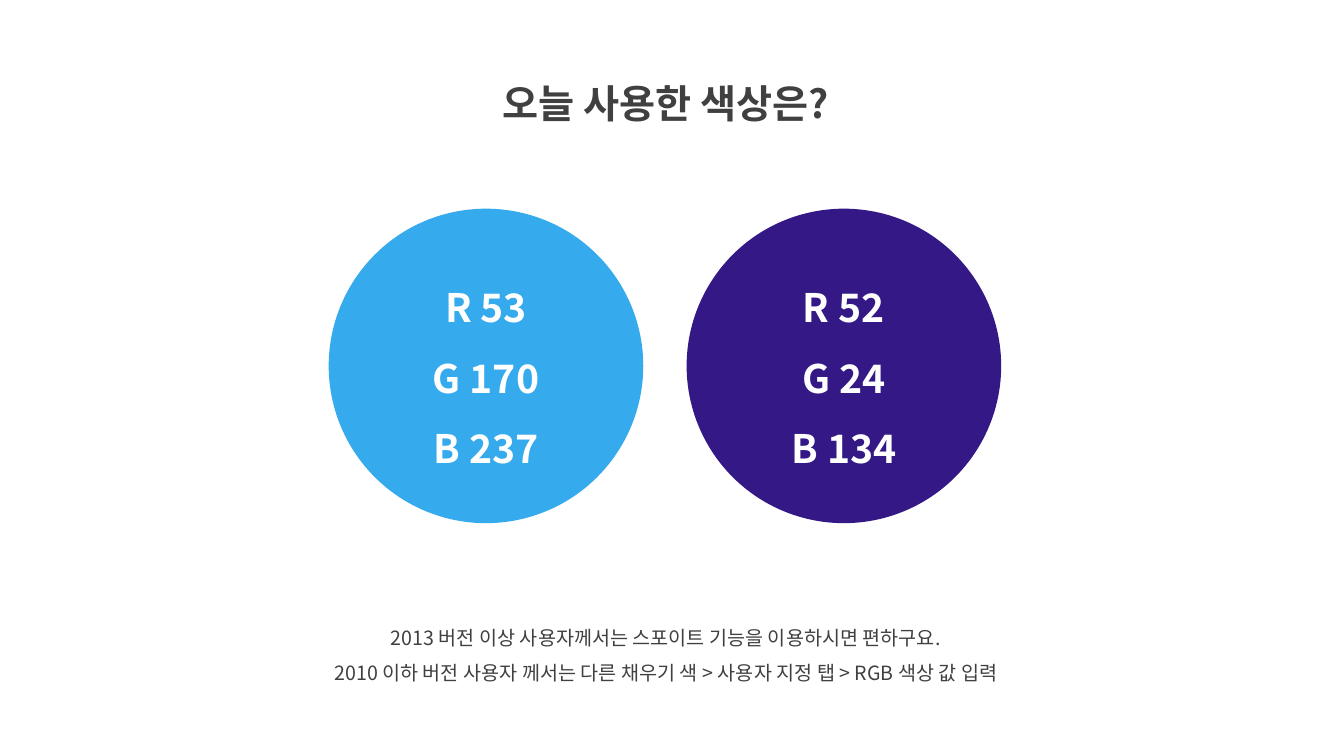
from dataclasses import dataclass

from lxml import etree
from pptx import Presentation
from pptx.dml.color import RGBColor
from pptx.enum.shapes import MSO_SHAPE
from pptx.enum.text import MSO_ANCHOR, MSO_AUTO_SIZE, PP_ALIGN
from pptx.oxml.ns import qn
from pptx.slide import Slide
from pptx.text.text import TextFrame
from pptx.util import Inches, Pt

ELLIPSE = MSO_SHAPE.OVAL
CENTER = PP_ALIGN.CENTER
MIDDLE = MSO_ANCHOR.MIDDLE
FIT_TEXT = MSO_AUTO_SIZE.SHAPE_TO_FIT_TEXT

FONT = "Noto Sans CJK KR"
GRAY = RGBColor(0x40, 0x40, 0x40)
WHITE = RGBColor(255, 255, 255)
BLUE = RGBColor(53, 170, 237)
PURPLE = RGBColor(52, 24, 134)

CIRCLE_TOP, CIRCLE_SIZE = 2.07, 3.12


@dataclass
class Caption:
    left: float
    top: float
    width: float
    height: float
    lines: list[str]
    size: int
    bold: bool


@dataclass
class Swatch:
    left: float
    color: RGBColor


CAPTIONS = [
    Caption(4.29, 0.5, 4.63, 0.72, ["오늘 사용한 색상은?"], 28, True),
    Caption(2.61, 6.04, 7.99, 0.81, [
        "2013 버전 이상 사용자께서는 스포이트 기능을 이용하시면 편하구요.",
        "2010 이하 버전 사용자 께서는 다른 채우기 색 > 사용자 지정 탭 > RGB 색상 값 입력",
    ], 14, False),
]
SWATCHES = [Swatch(3.26, BLUE), Swatch(6.81, PURPLE)]


def write_lines(tf: TextFrame, lines: list[str], size: int, bold: bool,
                color: RGBColor) -> None:
    """Fill a text frame with centred lines, one paragraph each."""
    tf.word_wrap = True
    font_format = {"size": Pt(size), "bold": bold, "name": FONT}
    for i, line in enumerate(lines):
        p = tf.add_paragraph() if i else tf.paragraphs[0]
        p.alignment = CENTER
        p.line_spacing = 1.5
        r = p.add_run()
        r.text = line
        for name, value in font_format.items():
            setattr(r.font, name, value)
        r.font.color.rgb = color
        # Hangul takes its typeface from the East Asian font
        etree.SubElement(r.font._element, qn("a:ea"), typeface=FONT)


def add_caption(s: Slide, c: Caption) -> None:
    box = s.shapes.add_textbox(Inches(c.left), Inches(c.top),
                               Inches(c.width), Inches(c.height))
    write_lines(box.text_frame, c.lines, c.size, c.bold, GRAY)
    box.text_frame.auto_size = FIT_TEXT


def add_swatch(s: Slide, swatch: Swatch) -> None:
    """Draw a circle labelled with the RGB values of its own fill."""
    sp = s.shapes.add_shape(ELLIPSE, Inches(swatch.left), Inches(CIRCLE_TOP),
                            Inches(CIRCLE_SIZE), Inches(CIRCLE_SIZE))
    sp.shadow.inherit = False
    sp.fill.solid()
    sp.fill.fore_color.rgb = swatch.color
    sp.line.fill.background()
    sp.text_frame.vertical_anchor = MIDDLE
    lines = [f"{channel} {value}" for channel, value in zip("RGB", swatch.color)]
    write_lines(sp.text_frame, lines, 28, True, WHITE)


def main() -> None:
    prs = Presentation()
    prs.slide_width, prs.slide_height = Inches(13.33), Inches(7.5)
    s = prs.slides.add_slide(prs.slide_layouts[6])

    # Title and usage notes
    for caption in CAPTIONS:
        add_caption(s, caption)

    # Colour circles
    for swatch in SWATCHES:
        add_swatch(s, swatch)

    prs.save("out.pptx")


if __name__ == "__main__":
    main()
